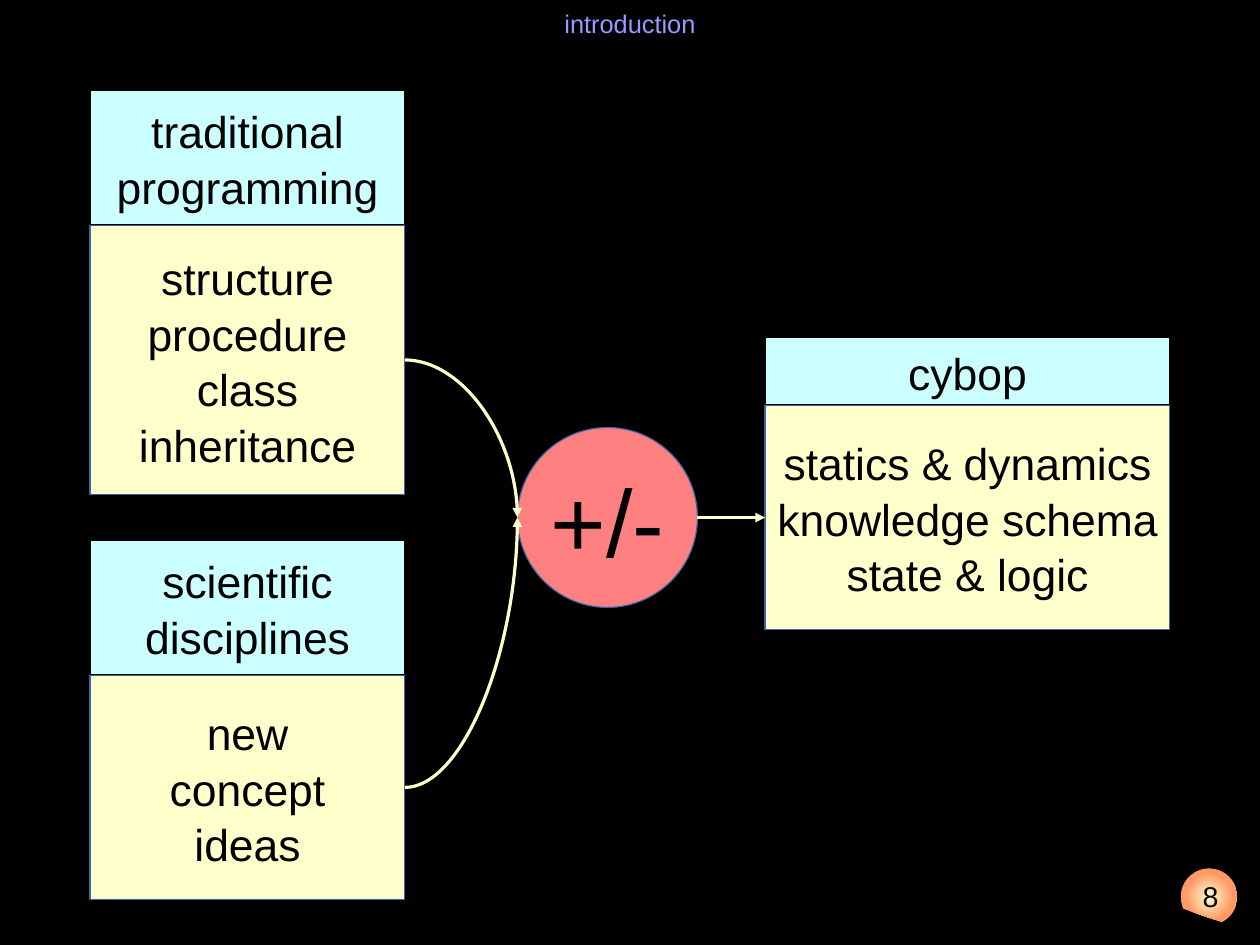
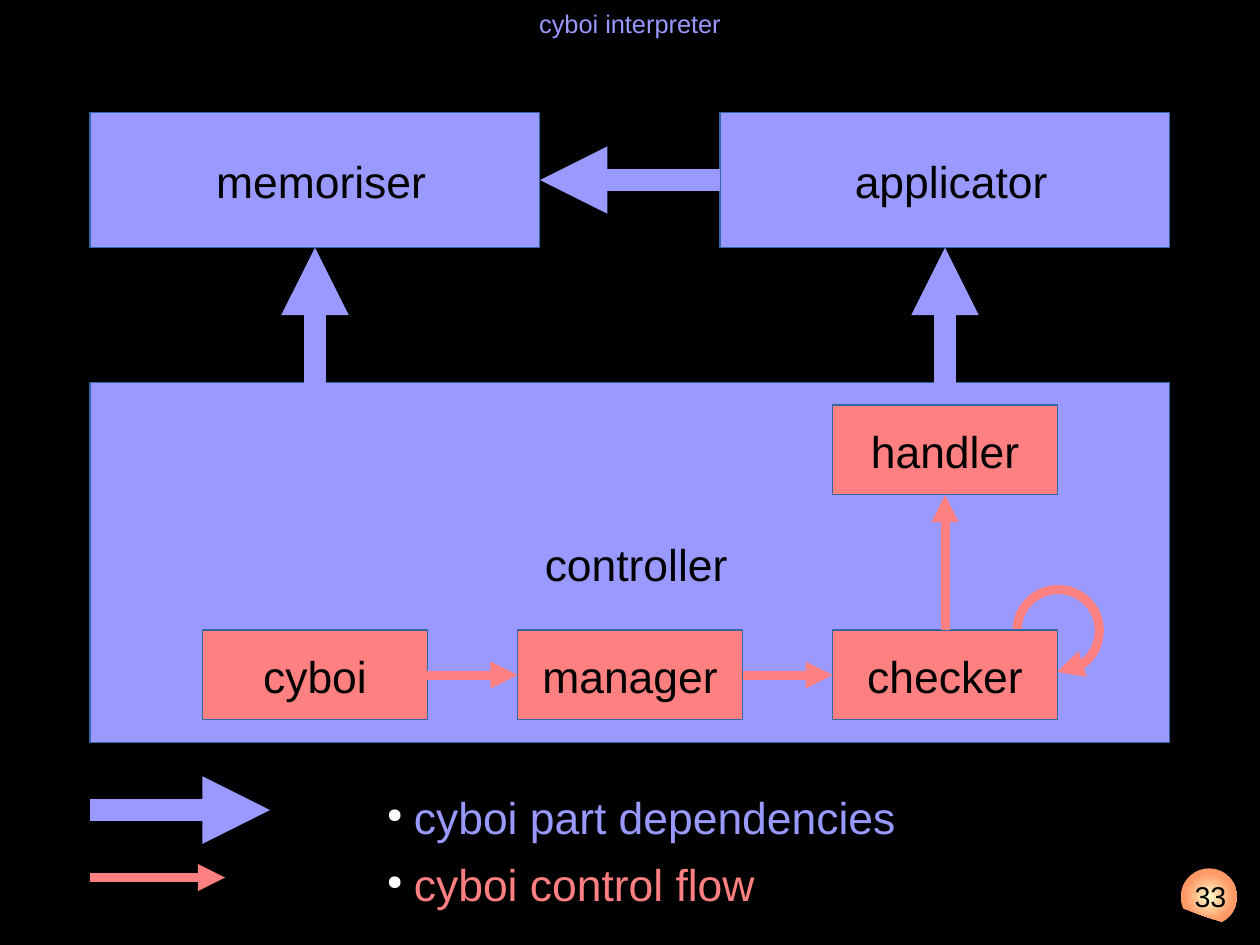
from lxml.etree import SubElement
from pptx import Presentation
from pptx.dml.color import RGBColor as Rgb
from pptx.enum.shapes import MSO_CONNECTOR as Link, MSO_SHAPE as Shape
from pptx.enum.text import MSO_ANCHOR as Anchor, PP_ALIGN as Align
from pptx.oxml.ns import qn
from pptx.util import Cm, Pt

# Content: one grid unit is 1 cm; areas are (column, row, columns, rows).
COLUMNS, ROWS = 28, 21

INTRODUCTION = {
    "title": "introduction",
    "page": "8",
    # heading, its rows, body, area of heading and body together
    "cards": [
        (["traditional", "programming"], 3,
         ["structure", "procedure", "class", "inheritance"], (2, 2, 7, 9)),
        (["scientific", "disciplines"], 3, ["new", "concept", "ideas"], (2, 12, 7, 8)),
        (["cybop"], 1.5,
         ["statics & dynamics", "knowledge schema", "state & logic"], (17, 7.5, 9, 6.5)),
    ],
    "merge": ("+/-", (11.5, 9.5, 4, 4)),
}

INTERPRETER = {
    "title": "cyboi interpreter",
    "page": "33",
    "parts": {
        "controller": (2, 8.5, 24, 8),
        "applicator": (16, 2.5, 10, 3),
        "memoriser": (2, 2.5, 10, 3),
    },
    "steps": {
        "cyboi": (4.5, 14, 5, 2),
        "manager": (11.5, 14, 5, 2),
        "checker": (18.5, 14, 5, 2),
        "handler": (18.5, 9, 5, 2),
    },
    # start box, its side, end box, its side
    "flow": [
        ("cyboi", 3, "manager", 1),
        ("manager", 3, "checker", 1),
        ("checker", 0, "handler", 2),
    ],
    "loop": (22.6, 13.1, 1.83, 1.83),
    # label, kind of arrow, arrow length, row
    "legend": [
        ("cyboi part dependencies", "part", 4, 18),
        ("cyboi control flow", "step", 3, 19.5),
    ],
}

THEME = {
    "font": "Arial",
    "back": "000000", "ink": "000000", "outline": "3465A4", "bullet": "FFFFFF",
    "heading": "CCFFFF", "body": "FFFFCC",
    "part": "9999FF", "step": "FF8080",
    "badge": [(0, "FFFFCC"), (0.6, "FF9966")],
    "title_size": 16, "page_size": 18, "text_size": 28, "sign_size": 60,
    "part_line": 14.17, "step_line": 5.67, "hairline": 0,
    "line_spacing": 1.04,
}


def apply(target, **values):
    for name, value in values.items():
        setattr(target, name, value)


def color(name):
    return Rgb.from_string(THEME.get(name, name))


def cm(area):
    return [Cm(length) for length in area]


def write(frame, lines, size, ink="ink", align=Align.CENTER, anchor=Anchor.MIDDLE,
          left=0, bullet=False):
    apply(frame, word_wrap=True, vertical_anchor=anchor, margin_left=Cm(left),
          margin_right=0, margin_top=0, margin_bottom=0)
    for index, line in enumerate(lines):
        paragraph = frame.add_paragraph() if index else frame.paragraphs[0]
        if bullet:
            add_bullet(paragraph)
        paragraph.text = line
        apply(paragraph, alignment=align, line_spacing=THEME["line_spacing"])
        apply(paragraph.font, name=THEME["font"], size=Pt(THEME[size]))
        paragraph.font.color.rgb = color(ink)


def add_bullet(paragraph):
    props = paragraph._p.get_or_add_pPr()
    props.set("marL", str(Cm(1.2)))
    props.set("indent", str(Cm(-0.6)))
    tint = SubElement(props, qn("a:buClr"))
    SubElement(tint, qn("a:srgbClr"), val=THEME["bullet"])
    SubElement(props, qn("a:buSzPct"), val="45000")
    SubElement(props, qn("a:buChar"), char="●")


def add_text(slide, area, lines, size, **style):
    write(slide.shapes.add_textbox(*cm(area)).text_frame, lines, size, **style)


def add_box(slide, area, lines, fill, outline="outline", kind=Shape.RECTANGLE,
            size="text_size", left=0):
    box = slide.shapes.add_shape(kind, *cm(area))
    box.shadow.inherit = False
    box.fill.solid()
    box.fill.fore_color.rgb = color(fill)
    box.line.color.rgb = color(outline)
    box.line.width = Pt(THEME["hairline"])
    write(box.text_frame, lines, size, left=left)
    return box


def style_arrow(line, tint, width):
    line.color.rgb = color(tint)
    line.width = Pt(THEME[width])
    SubElement(line._get_or_add_ln(), qn("a:tailEnd"), type="triangle")


def add_arrow(slide, start, end, tint, width, curved=False):
    """Draw an arrow; a curved one leaves sideways and arrives vertically."""
    arrow = slide.shapes.add_connector(
        Link.CURVE if curved else Link.STRAIGHT, *cm(start + end))
    style_arrow(arrow.line, tint, width)
    props = arrow.element.spPr
    SubElement(props, qn("a:effectLst"))
    if curved:
        props.find(qn("a:prstGeom")).set("prst", "curvedConnector2")
    return arrow


def join(slide, first, first_side, last, last_side, kind):
    arrow = add_arrow(slide, (0, 0), (1, 1), kind, kind + "_line")
    arrow.begin_connect(first, first_side)
    arrow.end_connect(last, last_side)


def add_badge(slide, page):
    badge = slide.shapes.add_shape(Shape.CHORD, *cm((26.24, 19.3, 1.26, 1.26)))
    badge.shadow.inherit = False
    badge.adjustments[0], badge.adjustments[1] = 92.969, 38.289
    badge.line.fill.background()
    badge.fill.gradient()
    for stop, (position, tint) in zip(badge.fill.gradient_stops, THEME["badge"]):
        stop.position = position
        stop.color.rgb = color(tint)
    gradient = badge.element.spPr.find(qn("a:gradFill"))
    gradient.remove(gradient.find(qn("a:lin")))
    radial = SubElement(gradient, qn("a:path"), path="circle")
    SubElement(radial, qn("a:fillToRect"), l="50000", t="50000", r="50000", b="50000")
    add_text(slide, (26.2, 19.5, 1.4, 1), [page], "page_size", anchor=Anchor.TOP)


def add_slide(deck, content):
    slide = deck.slides.add_slide(deck.slide_layouts[6])
    add_badge(slide, content["page"])
    add_text(slide, (0, 0, COLUMNS, 1), [content["title"]], "title_size", ink="part")
    return slide


def build_introduction(deck, content):
    slide = add_slide(deck, content)
    sign, circle = content["merge"]
    add_box(slide, circle, [sign], "step", kind=Shape.OVAL, size="sign_size")
    left, top, width, height = circle
    middle = top + height / 2

    for heading, heading_rows, body, (x, y, w, h) in content["cards"]:
        body_top, body_rows = y + heading_rows, h - heading_rows
        body_box = add_box(slide, (x, body_top, w, body_rows), body, "body")
        add_box(slide, (x, y, w, heading_rows), heading, "heading", outline="ink")
        if x < left:
            add_arrow(slide, (x + w, body_top + body_rows / 2), (left, middle),
                      "body", "hairline", curved=True)
        else:
            result = add_arrow(slide, (left + width, middle), (x, middle),
                               "body", "hairline")
            result.end_connect(body_box, 1)


def build_interpreter(deck, content):
    slide = add_slide(deck, content)
    parts = {name: add_box(slide, area, [name], "part", left=0.27)
             for name, area in content["parts"].items()}
    join(slide, parts["applicator"], 1, parts["memoriser"], 3, "part")
    controller_top = content["parts"]["controller"][1]
    for name in ("applicator", "memoriser"):
        x, y, w, h = content["parts"][name]
        center = x + w / 2
        dependency = add_arrow(slide, (center, controller_top), (center, y + h),
                               "part", "part_line")
        dependency.end_connect(parts[name], 2)

    loop = slide.shapes.add_shape(Shape.ARC, *cm(content["loop"]))
    loop.shadow.inherit = False
    loop.rotation = 180
    loop.adjustments[0], loop.adjustments[1] = 0, 163.092
    loop.fill.background()
    style_arrow(loop.line, "step", "step_line")

    steps = {name: add_box(slide, area, [name], "step")
             for name, area in content["steps"].items()}
    for first, first_side, last, last_side in content["flow"]:
        join(slide, steps[first], first_side, steps[last], last_side, "step")

    for label, kind, length, row in content["legend"]:
        add_arrow(slide, (2, row), (2 + length, row), kind, kind + "_line")
        add_text(slide, (8, row - 0.5, 12, 1.5), [label], "text_size", ink=kind,
                 align=Align.LEFT, anchor=Anchor.TOP, bullet=True)


def main():
    deck = Presentation()
    apply(deck, slide_width=Cm(COLUMNS), slide_height=Cm(ROWS))
    backdrop = deck.slide_master.background.fill
    backdrop.solid()
    backdrop.fore_color.rgb = color("back")
    build_introduction(deck, INTRODUCTION)
    build_interpreter(deck, INTERPRETER)
    deck.save("out.pptx")


if __name__ == "__main__":
    main()
